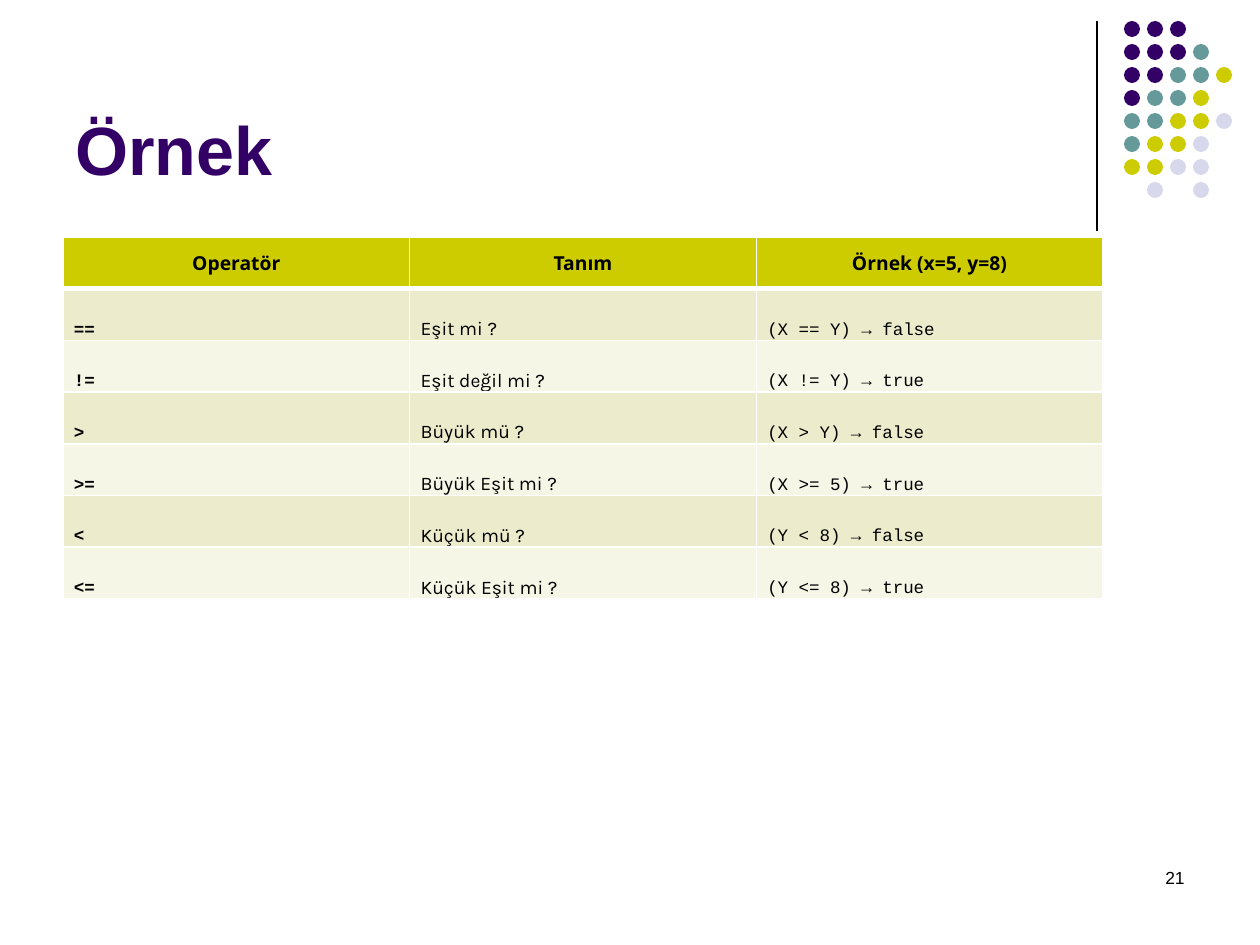
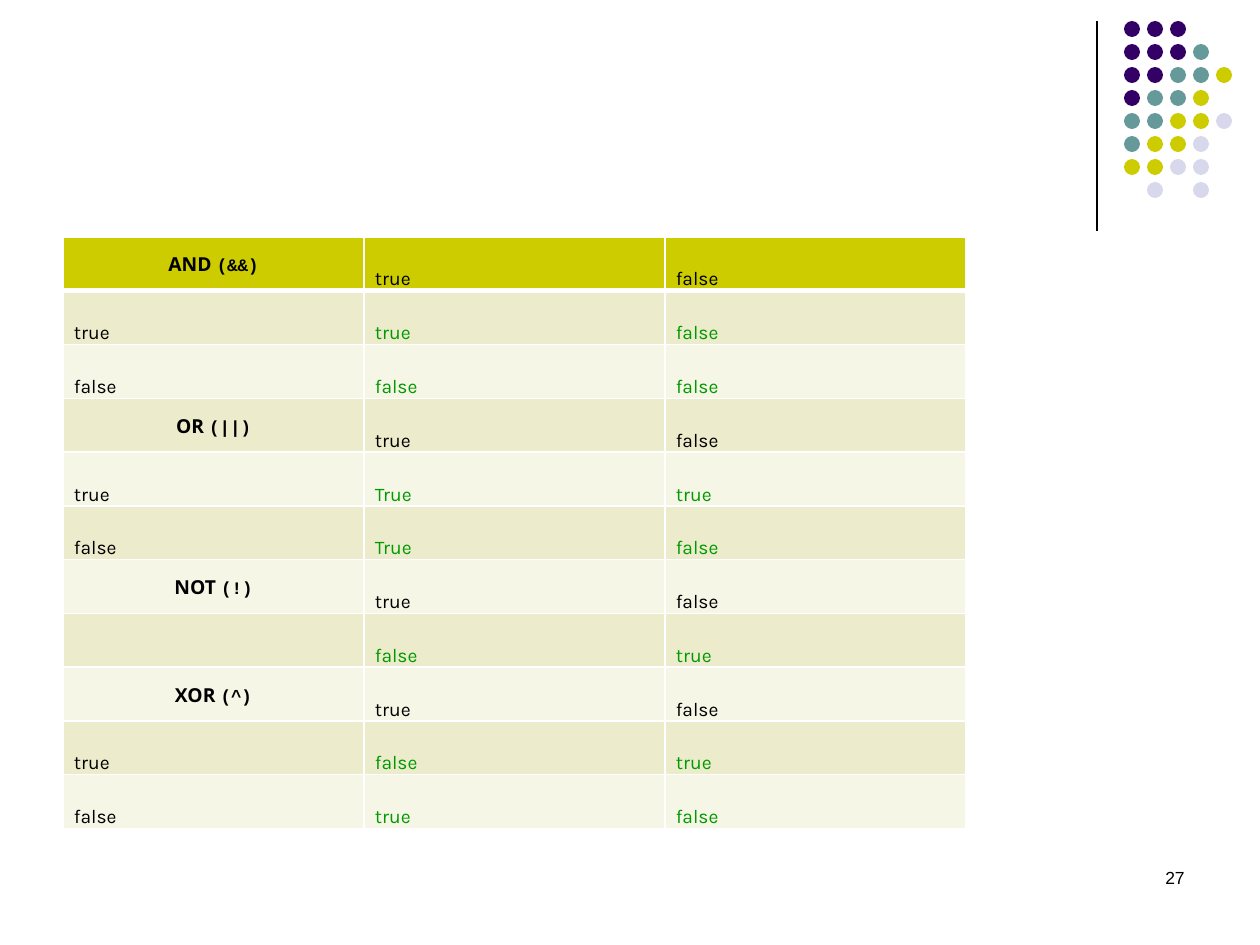
from lxml.etree import SubElement
from pptx import Presentation
from pptx.dml.color import RGBColor
from pptx.enum.shapes import MSO_CONNECTOR, MSO_SHAPE
from pptx.enum.text import MSO_ANCHOR, PP_ALIGN
from pptx.oxml import parse_xml
from pptx.oxml.ns import nsdecls, qn
from pptx.util import Pt

SCALE = 914400 / 126
INK, WHITE, PLUM, TEAL = "000000", "FFFFFF", "330066", "669999"
LIME, MIST, GREEN = "CCCC00", "D8D8EC", "009900"
BANDS = ("ECECCC", "F6F6E7")

# Text styles: font, size, bold, colour
TITLE = ("Arial", 39, True, PLUM)
PAGE = ("Arial", 10, False, INK)
HEAD = ("Noto Sans", 11, True, INK)
SIGN = ("Courier New", 10, True, INK)
CODE = ("Courier New", 10, False, INK)
BODY = ("Karla", 11, False, INK)
VALUE = ("Karla", 11, False, GREEN)

DOT_MAP = ("PPP", "PPPT", "PPTTL", "PTTL", "TTLLM", "TLLM", "LLMM", " M M")
DOT_HUES = {"P": PLUM, "T": TEAL, "L": LIME, "M": MIST}

COMPARE = (
    ("Operatör", "Tanım", "Örnek (x=5, y=8)"),
    ("==", "Eşit mi ?", "(X == Y) → false"),
    ("!=", "Eşit değil mi ?", "(X != Y) → true"),
    (">", "Büyük mü ?", "(X > Y) → false"),
    (">=", "Büyük Eşit mi ?", "(X >= 5) → true"),
    ("<", "Küçük mü ?", "(Y < 8) → false"),
    ("<=", "Küçük Eşit mi ?", "(Y <= 8) → true"),
)
TRUTH = (
    ("AND (&&)", "true", "false"),
    ("true", "true", "false"),
    ("false", "false", "false"),
    ("OR (||)", "true", "false"),
    ("true", "True", "true"),
    ("false", "True", "false"),
    ("NOT (!)", "true", "false"),
    ("", "false", "true"),
    ("XOR (^)", "true", "false"),
    ("true", "false", "true"),
    ("false", "true", "false"),
)


def px(size):
    """Turn pixels into EMU."""
    return round(size * SCALE)


def hue(code):
    """Turn a hex string into a colour."""
    return RGBColor.from_string(code)


def style(run, look):
    """Give a run its font, size, weight and colour."""
    font = run.font
    font.name, size, font.bold, code = look
    font.size = Pt(size)
    font.color.rgb = hue(code)


def label(slide, box, text, look, align, anchor):
    """Place one line of text in a box."""
    frame = slide.shapes.add_textbox(*map(px, box)).text_frame
    frame.word_wrap = True
    frame.vertical_anchor = anchor
    frame.text = text
    para = frame.paragraphs[0]
    para.alignment = align
    style(para.runs[0], look)


def rule(slide, x, top, end):
    """Draw the thin upright line beside the dots."""
    line = slide.shapes.add_connector(
        MSO_CONNECTOR.STRAIGHT, px(x), px(top), px(x), px(end))
    line.line.color.rgb = hue(INK)
    line.line.width = Pt(0.75)
    SubElement(line._element.spPr, qn("a:effectLst"))


def dots(slide, left, top, size=16, step=23):
    """Draw the grouped grid of coloured dots."""
    group = slide.shapes.add_group_shape()
    for row, marks in enumerate(DOT_MAP):
        for col, mark in enumerate(marks):
            if mark == " ":
                continue
            dot = group.shapes.add_shape(
                MSO_SHAPE.OVAL, px(left + col * step), px(top + row * step),
                px(size), px(size))
            dot.shadow.inherit = False
            dot.fill.solid()
            dot.fill.fore_color.rgb = hue(DOT_HUES[mark])
            dot.line.fill.background()


def edges(cell, row):
    """Draw white cell borders, thick under the top row."""
    props = cell._tc.get_or_add_tcPr()
    widths = {"L": 1, "R": 1, "T": 3 if row == 1 else 1,
              "B": 3 if row == 0 else 1}
    for place, (side, width) in enumerate(widths.items()):
        props.insert(place, parse_xml(
            f'<a:ln{side} {nsdecls("a")} w="{Pt(width)}"><a:solidFill>'
            f'<a:srgbClr val="{WHITE}"/></a:solidFill></a:ln{side}>'))


def fill(cell, row, parts, center):
    """Fill a cell with its band colour and styled parts of text."""
    cell.fill.solid()
    cell.fill.fore_color.rgb = hue(BANDS[(row - 1) % 2] if row else LIME)
    edges(cell, row)
    cell.margin_left = px(1 if center else 11)
    cell.margin_top = cell.margin_right = px(1)
    cell.margin_bottom = 0
    cell.vertical_anchor = MSO_ANCHOR.MIDDLE if center else MSO_ANCHOR.BOTTOM
    para = cell.text_frame.paragraphs[0]
    para.alignment = PP_ALIGN.CENTER if center else PP_ALIGN.LEFT
    for text, look in parts:
        run = para.add_run()
        run.text = text
        style(run, look)


def grid(slide, box, rows, split):
    """Draw an even table; split gives each cell's parts and centring."""
    high, wide = len(rows), len(rows[0])
    table = slide.shapes.add_table(high, wide, *map(px, box)).table
    table.first_row = table.horz_banding = False
    for col in table.columns:
        col.width = px(box[2] / wide)
    for line in table.rows:
        line.height = px(box[3] / high)
    for row, texts in enumerate(rows):
        for col, text in enumerate(texts):
            fill(table.cell(row, col), row, *split(row, col, texts))


def compare(row, col, texts):
    """Style a cell of the comparison table."""
    look = (SIGN, BODY, CODE)[col] if row else HEAD
    return [(texts[col], look)], row == 0


def truth(row, col, texts):
    """Style a cell of the truth table, where a bracket marks a head row."""
    text, head = texts[col], "(" in texts[0]
    if head and col == 0:
        name, sign = text.split(" ")
        return [(name + " ", HEAD), (sign, SIGN)], True
    if not text:
        return [], False
    return [(text, BODY if head or col == 0 else VALUE)], False


def page(deck, number):
    """Add a slide with the shared line, dots and page number."""
    slide = deck.slides.add_slide(deck.slide_layouts[6])
    rule(slide, 1097, 21, 231)
    dots(slide, 1124, 21)
    label(slide, (903, 861, 294, 63), number, PAGE,
          PP_ALIGN.RIGHT, MSO_ANCHOR.TOP)
    return slide


def main():
    """Build both slides and save them."""
    deck = Presentation()
    deck.slide_width, deck.slide_height = px(1260), px(945)
    first = page(deck, "21")
    label(first, (63, 16, 1040, 179), "Örnek", TITLE,
          PP_ALIGN.LEFT, MSO_ANCHOR.BOTTOM)
    grid(first, (63, 237, 1040, 362), COMPARE, compare)
    second = page(deck, "27")
    grid(second, (63, 237, 903, 592), TRUTH, truth)
    deck.save("out.pptx")


main()
